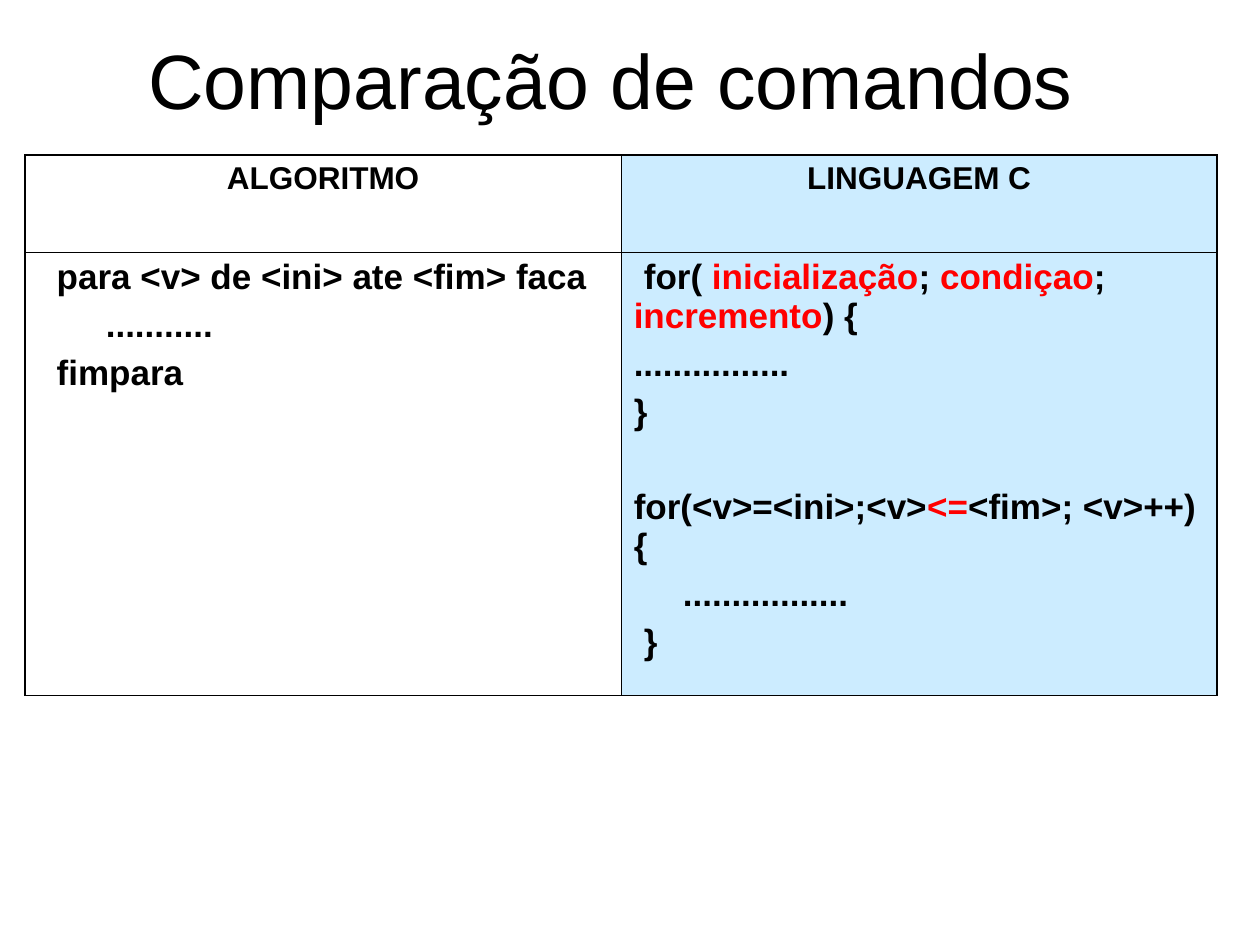
from lxml import etree
from pptx import Presentation
from pptx.dml.color import RGBColor
from pptx.enum.text import MSO_ANCHOR, PP_ALIGN
from pptx.oxml.ns import qn
from pptx.util import Inches, Pt

CENTER, LEFT = PP_ALIGN.CENTER, PP_ALIGN.LEFT
MIDDLE = MSO_ANCHOR.MIDDLE
COLORS = {"text": "000000", "accent": "FF0000", "c_column": "CCECFF"}
OUTER, INNER = 1.08, 0.45


def add_text(p, text, size=20, bold=True, align=LEFT, before=5, first=0):
    """Fill a paragraph; parts of the text between | marks take the accent colour."""
    p.alignment = align
    p.space_before = Pt(before)
    pPr = p._p.get_or_add_pPr()
    pPr.set("marL", "0")
    pPr.set("indent", str(Inches(first)))
    for i, part in enumerate(text.split("|")):
        r = p.add_run()
        r.text = part
        r.font.name, r.font.size, r.font.bold = "Arial", Pt(size), bold
        color = COLORS["accent" if i % 2 else "text"]
        r.font.color.rgb = RGBColor.from_string(color)


def set_borders(cell, widths):
    tcPr = cell._tc.get_or_add_tcPr()
    for side, width in widths.items():
        ln = etree.SubElement(tcPr, qn(f"a:ln{side}"), w=str(Pt(width)))
        fill = etree.SubElement(ln, qn("a:solidFill"))
        etree.SubElement(fill, qn("a:srgbClr"), val=COLORS["text"])


prs = Presentation()
prs.slide_width, prs.slide_height = Inches(10), Inches(7.5)
s = prs.slides.add_slide(prs.slide_layouts[6])

title = s.shapes.add_textbox(Inches(0.35), Inches(0), Inches(9), Inches(1.25))
tf = title.text_frame
tf.word_wrap = True
tf.vertical_anchor = MIDDLE
add_text(tf.paragraphs[0], "Comparação de comandos", size=44, bold=False,
         align=CENTER, before=0)

# Each line of code: text, first-line indent in inches, space before in points
headers = ["ALGORITMO", "LINGUAGEM C"]
code = [
    [
        ("para <v> de <ini> ate <fim> faca", 0.15, 5),
        ("...........", 0.54, 5),
        ("fimpara", 0.15, 5),
    ],
    [
        ("for( |inicialização|; |condiçao|; |incremento|) {", 0.08, 5),
        ("................", 0, 5),
        ("}", 0, 5),
        ("for(<v>=<ini>;<v>|<=|<fim>; <v>++) {", 0, 32),
        (".................", 0.39, 5),
        ("}", 0.08, 5),
    ],
]

table = s.shapes.add_table(2, 2, Inches(0.2), Inches(1.23),
                           Inches(9.45), Inches(4.29)).table
table.first_row = table.horz_banding = False
for row, height in zip(table.rows, (0.77, 3.52)):
    row.height = Inches(height)

for col in range(2):
    table.columns[col].width = Inches(4.73)
    for row in range(2):
        cell = table.cell(row, col)
        set_borders(cell, {
            "L": INNER if col else OUTER,
            "R": OUTER if col else INNER,
            "T": INNER if row else OUTER,
            "B": OUTER if row else INNER,
        })
        if col:
            cell.fill.solid()
            cell.fill.fore_color.rgb = RGBColor.from_string(COLORS["c_column"])
        else:
            cell.fill.background()

    add_text(table.cell(0, col).text_frame.paragraphs[0], headers[col],
             size=18, align=CENTER, before=4.5)
    tf = table.cell(1, col).text_frame
    for i, (line, first, before) in enumerate(code[col]):
        p = tf.add_paragraph() if i else tf.paragraphs[0]
        add_text(p, line, first=first, before=before)

prs.save("out.pptx")
